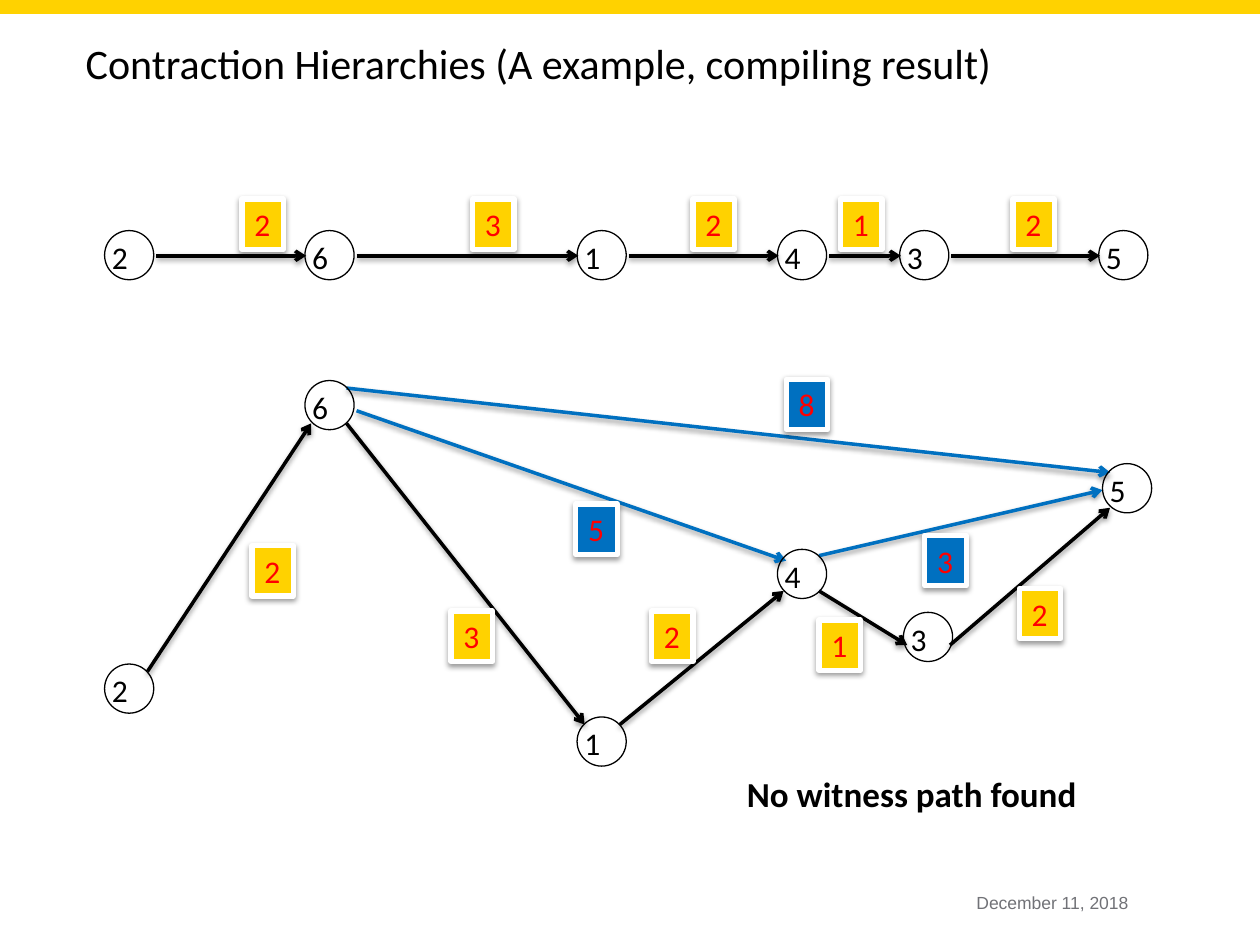
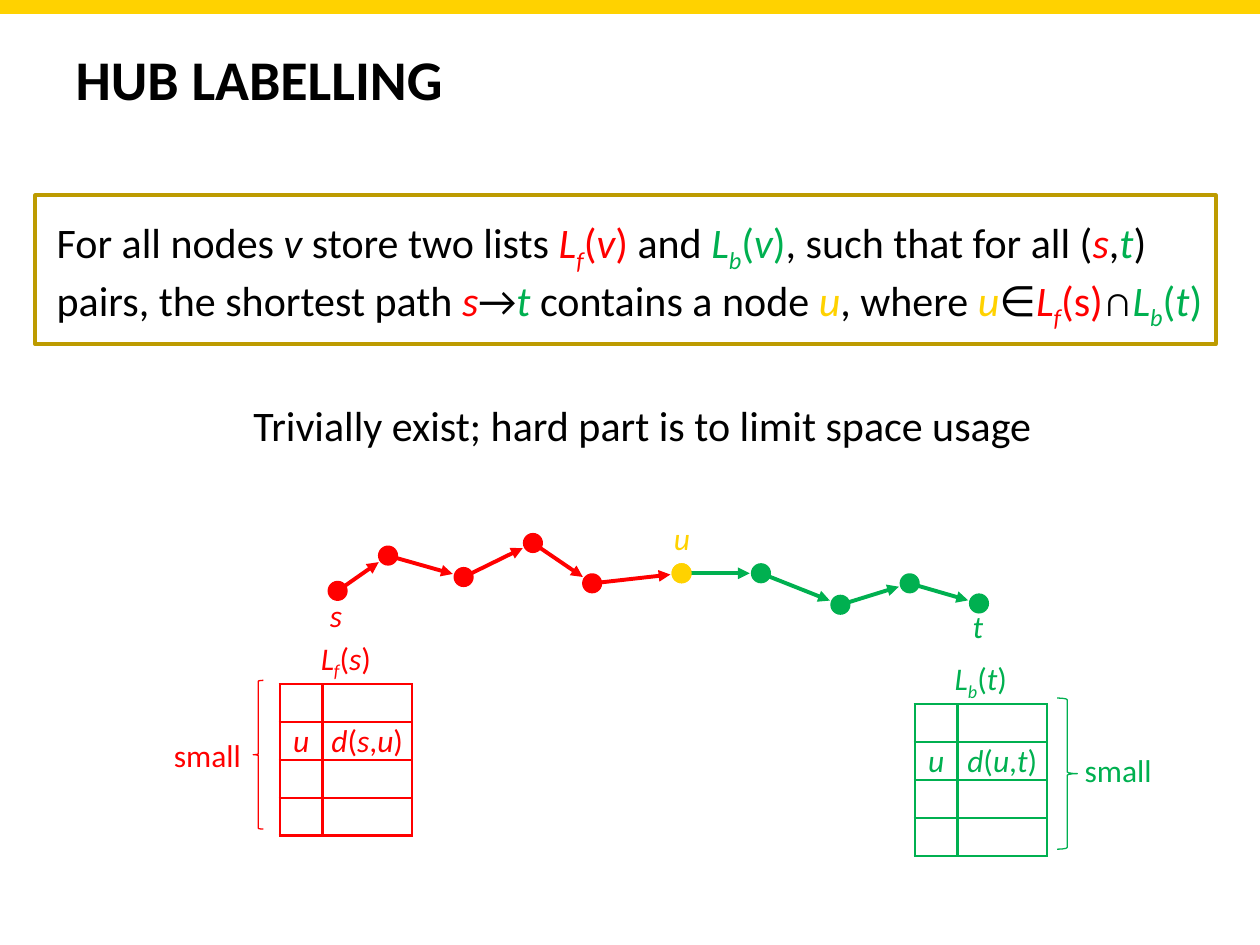
import dataclasses
import itertools
import math

import lxml.etree
import pptx
import pptx.dml.color
import pptx.enum.dml
import pptx.enum.shapes
import pptx.enum.text
import pptx.oxml.ns
import pptx.util

Inches = pptx.util.Inches
Pt = pptx.util.Pt
Shape = pptx.enum.shapes.MSO_SHAPE
Align = pptx.enum.text.PP_ALIGN


@dataclasses.dataclass(frozen=True)
class Theme:
    font: str = "Calibri"
    date_font: str = "Arial"
    black: str = "000000"
    white: str = "FFFFFF"
    yellow: str = "FFD200"
    gold: str = "BD9B00"
    blue: str = "0070C0"
    red: str = "FF0000"
    green: str = "00B050"
    gray: str = "717277"
    heading: int = 32
    large: int = 24
    remark: int = 20
    label: int = 18
    date: int = 10


THEME = Theme()
TITLE_ONLY, TITLE_AND_BODY = 5, 1
NODE = 0.39
DOT = 0.16


def rgb(value):
    return pptx.dml.color.RGBColor.from_string(value)


def add_xml(parent, tag, **attributes):
    element = lxml.etree.SubElement(parent, pptx.oxml.ns.qn(tag))
    for name, value in attributes.items():
        element.set(name, str(value))
    return element


def add_shadow(effects):
    shadow = add_xml(effects, "a:outerShdw", blurRad=Pt(3.1), dist=Pt(1.6), dir=5400000, rotWithShape=0)
    color = add_xml(shadow, "a:srgbClr", val=THEME.black)
    add_xml(color, "a:alpha", val=38000)


def hub_list(subscript, node, color, node_marks="i"):
    """Spans for L with a subscript, applied to a node."""
    return [("L", color, "i"), (subscript, color, "i_"), ("(", color, ""),
            (node, color, node_marks), (")", color, "")]


def distance(start, end, color):
    """Spans for d(start,end)."""
    return [("d", color, "i"), ("(", color, ""), (start, color, "i"),
            (",", color, ""), (end, color, "i"), (")", color, "")]


class SlideBuilder:
    def __init__(self, theme):
        self.theme = theme
        self.deck = pptx.Presentation()
        self.deck.slide_width = Inches(10)
        self.deck.slide_height = Inches(7.5)
        self.page = None

    def start_page(self, layout):
        self.page = self.deck.slides.add_slide(self.deck.slide_layouts[layout])
        self.shape(Shape.RECTANGLE, (0, 0, 10, 0.11), fill=self.theme.yellow,
                   line=self.theme.yellow)

    def set_text(self, para, spans, size, color=None, bold=False, align=Align.LEFT, font=None):
        """Fill a paragraph from a string or from (text, colour, marks) spans."""
        para.alignment = align
        para.font.name = font or self.theme.font
        para.font.size = Pt(size)
        para.font.bold = bold
        if isinstance(spans, str):
            para.font.color.rgb = rgb(color or self.theme.black)
            para.add_run().text = spans
            return
        for text, span_color, marks in spans:
            span = para.add_run()
            span.text = text
            span.font.color.rgb = rgb(span_color)
            span.font.italic = "i" in marks
            if "_" in marks:
                span._r.get_or_add_rPr().set("baseline", "-25000")

    def place(self, box, bounds):
        box.left, box.top, box.width, box.height = map(Inches, bounds)
        frame = box.text_frame
        frame.auto_size = pptx.enum.text.MSO_AUTO_SIZE.NONE
        frame.vertical_anchor = pptx.enum.text.MSO_ANCHOR.TOP
        return frame

    def title(self, text, bounds, size, bold=False):
        frame = self.place(self.page.shapes.title, bounds)
        self.set_text(frame.paragraphs[0], text, size, bold=bold)

    def body(self, bounds, paragraphs, gap):
        """Unbulleted paragraphs, given as (spans, alignment)."""
        frame = self.place(self.page.placeholders[1], bounds)
        for index, (spans, align) in enumerate(paragraphs):
            para = frame.add_paragraph() if index else frame.paragraphs[0]
            properties = para._p.get_or_add_pPr()
            properties.set("marL", "0")
            properties.set("indent", "0")
            add_xml(properties, "a:buNone")
            para.space_before = Pt(gap if index else 0)
            self.set_text(para, spans, self.theme.large, align=align)

    def text(self, spans, bounds, size, wrap=True, margin=None, **style):
        box = self.page.shapes.add_textbox(*map(Inches, bounds))
        frame = box.text_frame
        frame.word_wrap = wrap
        if margin is not None:
            self.set_margins(frame, margin)
        self.set_text(frame.paragraphs[0], spans, size, **style)

    def set_margins(self, frame, margin):
        frame.margin_left = frame.margin_right = Inches(margin)
        frame.margin_top = frame.margin_bottom = Inches(margin)

    def shape(self, kind, bounds, fill=None, line=None, width=0.75):
        shape = self.page.shapes.add_shape(kind, *map(Inches, bounds))
        shape.shadow.inherit = False
        for part, color in ((shape.fill, fill), (shape.line.fill, line)):
            if color:
                part.solid()
                part.fore_color.rgb = rgb(color)
            else:
                part.background()
        if line:
            shape.line.width = Pt(width)
        return shape

    def arrow(self, start, end, color, width, head, shadow=False):
        line = self.page.shapes.add_connector(
            pptx.enum.shapes.MSO_CONNECTOR.STRAIGHT, *map(Inches, (*start, *end)))
        line.line.color.rgb = rgb(color)
        line.line.width = Pt(width)
        add_xml(line.line._get_or_add_ln(), "a:tailEnd", type=head)
        effects = add_xml(line._element.spPr, "a:effectLst")
        if shadow:
            add_shadow(effects)

    def edge(self, start, end, color):
        self.arrow(start, end, color, 2, "arrow", shadow=True)

    def node(self, name, left, top):
        node = self.shape(Shape.OVAL, (left, top, NODE, NODE), line=self.theme.black)
        frame = node.text_frame
        frame.vertical_anchor = pptx.enum.text.MSO_ANCHOR.TOP
        self.set_margins(frame, 0)
        self.set_text(frame.paragraphs[0], name, self.theme.label)

    def weight(self, value, left, top, fill):
        tag = self.shape(Shape.RECTANGLE, (left, top, 0.33, 0.4), fill, self.theme.white, 3)
        add_shadow(tag._element.spPr.find(pptx.oxml.ns.qn("a:effectLst")))
        tag.text_frame.word_wrap = False
        self.set_text(tag.text_frame.paragraphs[0], value, self.theme.label, self.theme.red)

    def dot(self, left, top, color):
        self.shape(Shape.OVAL, (left, top, DOT, DOT), fill=color)

    def hub_table(self, left, top, heading, entry, color):
        """A heading above a ruled grid whose second row holds the entry."""
        widths, heights = (0.34, 0.71), (0.35, 0.3, 0.3, 0.3, 0.3)
        frame = self.page.shapes.add_table(
            len(heights), len(widths),
            *map(Inches, (left, top, sum(widths), sum(heights))))
        table = frame.table
        table.first_row = table.horz_banding = False
        for column, width in zip(table.columns, widths):
            column.width = Inches(width)
        for row, height in zip(table.rows, heights):
            row.height = Inches(height)
        table.cell(0, 0).merge(table.cell(0, 1))
        contents = {(0, 0): heading, (2, 0): entry[0], (2, 1): entry[1]}
        for row, column in itertools.product(range(len(heights)), range(len(widths))):
            cell = table.cell(row, column)
            self.set_margins(cell, 0)
            for side in "LRTB":
                self.cell_border(cell, side, color if row or side == "B" else None)
            cell.fill.background()
            self.set_text(cell.text_frame.paragraphs[0], contents.get((row, column), []),
                          self.theme.label, align=Align.CENTER)

    def cell_border(self, cell, side, color):
        border = add_xml(cell._tc.get_or_add_tcPr(), f"a:ln{side}", w=Pt(1.5))
        if color:
            add_xml(add_xml(border, "a:solidFill"), "a:srgbClr", val=color)
        else:
            add_xml(border, "a:noFill")


def build_contraction(build):
    theme = build.theme
    build.start_page(TITLE_ONLY)
    build.title("Contraction Hierarchies (A example, compiling result)",
                (0.58, 0.25, 7.58, 0.5), theme.large)
    build.text("December 11, 2018", (7.75, 7.08, 1.33, 0.28), theme.date,
               margin=0, color=theme.gray, font=theme.date_font)

    chain = [("2", 0.83), ("6", 2.42), ("1", 4.58), ("4", 6.17), ("3", 7.14), ("5", 8.72)]
    for (_, left), (_, next_left) in itertools.pairwise(chain):
        build.edge((left + 0.41, 2.03), (next_left + 0.01, 2.03), theme.black)
    for value, left in zip("23212", (1.92, 3.75, 5.5, 6.67, 8.04)):
        build.weight(value, left, 1.58, theme.yellow)
    for name, left in chain:
        build.node(name, left, 1.83)

    shortcuts = [((2.83, 3.26), (6.24, 4.45)), ((6.5, 4.41), (8.75, 3.89)),
                 ((2.75, 3.08), (8.81, 3.75))]
    roads = [((1.17, 5.33), (2.47, 3.36)), ((4.92, 5.75), (6.22, 4.69)),
             ((7.54, 5.12), (8.81, 4.03)), ((2.75, 3.36), (4.64, 5.75)),
             ((6.5, 4.69), (7.2, 5.12))]
    shortcut_weights = [("5", 4.57, 4), ("3", 7.34, 4.25), ("8", 6.24, 3.01)]
    road_weights = [("2", 2, 4.33), ("1", 6.5, 4.92), ("2", 5.17, 4.85),
                    ("3", 3.58, 4.85), ("2", 8.09, 4.67)]
    for edges, weights, line, fill in (
            (shortcuts, shortcut_weights, theme.blue, theme.blue),
            (roads, road_weights, theme.black, theme.yellow)):
        for start, end in edges:
            build.edge(start, end, line)
        for value, left, top in weights:
            build.weight(value, left, top, fill)
    for name, left, top in (("4", 6.17, 4.36), ("5", 8.75, 3.68), ("3", 7.17, 4.86),
                            ("1", 4.58, 5.69), ("6", 2.42, 3.02), ("2", 0.83, 5.27)):
        build.node(name, left, top)
    build.text("No witness path found", (5.83, 6.08, 2.9, 0.44), theme.remark,
               wrap=False, bold=True)


def build_hub_labelling(build):
    theme = build.theme
    black, red, green, yellow = theme.black, theme.red, theme.green, theme.yellow
    build.start_page(TITLE_AND_BODY)
    build.title("HUB LABELLING", (0.5, 0.3, 9, 1.25), theme.heading, bold=True)
    definition = [
        ("For all nodes ", black, ""), ("v", black, "i"), (" store two lists ", black, ""),
        *hub_list("f", "v", red), (" and ", black, ""), *hub_list("b", "v", green),
        (", such that for all (", black, ""), ("s", red, "i"), (",", black, ""),
        ("t", green, "i"), (") pairs, the shortest path ", black, ""), ("s", red, "i"),
        ("→", black, ""), ("t ", green, "i"), ("contains a node ", black, ""),
        ("u", yellow, "i"), (", where ", black, ""), ("u", yellow, "i"), ("∈", black, ""),
        *hub_list("f", "s", red, node_marks=""), ("∩", black, ""),
        *hub_list("b", "t", green)]
    build.body((0.35, 1.67, 9.5, 2.08),
               [(definition, Align.LEFT),
                ("Trivially exist; hard part is to limit space usage", Align.CENTER)], gap=39)
    build.shape(Shape.RECTANGLE, (0.28, 1.55, 9.37, 1.18), line=theme.gold, width=2.25)

    dots = [(2.6, 4.61), (3, 4.33), (3.6, 4.5), (4.15, 4.23), (4.62, 4.55),
            (5.33, 4.47), (5.96, 4.47), (6.59, 4.72), (7.14, 4.55), (7.69, 4.71)]
    hub = 5
    for index, (left, top) in enumerate(dots):
        build.dot(left, top, red if index < hub else yellow if index == hub else green)
    for index, ((left, top), (next_left, next_top)) in enumerate(itertools.pairwise(dots)):
        run, rise = next_left - left, next_top - top
        reach = 1 - 0.09 / math.hypot(run, rise)
        x, y = left + DOT / 2, top + DOT / 2
        build.arrow((x, y), (x + run * reach, y + rise * reach),
                    red if index < hub else green, 2.25, "triangle")
    build.dot(*dots[hub], yellow)
    for name, left, top, color in (("s", 2.52, 4.68, red), ("t", 7.62, 4.77, green),
                                   ("u", 5.25, 4.07, yellow)):
        build.text([(name, color, "i")], (left, top, 0.29, 0.4), theme.label)

    build.hub_table(2.22, 5.08, hub_list("f", "s", red),
                    ([("u", red, "i")], distance("s", "u", red)), red)
    build.hub_table(7.26, 5.24, hub_list("b", "t", green),
                    ([("u", green, "i")], distance("u", "t", green)), green)
    build.shape(Shape.LEFT_BRACE, (2.01, 5.4, 0.08, 1.18), line=red)
    build.shape(Shape.RIGHT_BRACE, (8.39, 5.54, 0.16, 1.2), line=green)
    build.text("small", (0.83, 5.79, 1.18, 0.4), theme.label, color=red, align=Align.RIGHT)
    build.text("small", (8.51, 5.91, 1.18, 0.4), theme.label, color=green)


def main():
    build = SlideBuilder(THEME)
    build_contraction(build)
    build_hub_labelling(build)
    build.deck.save("out.pptx")


if __name__ == "__main__":
    main()
